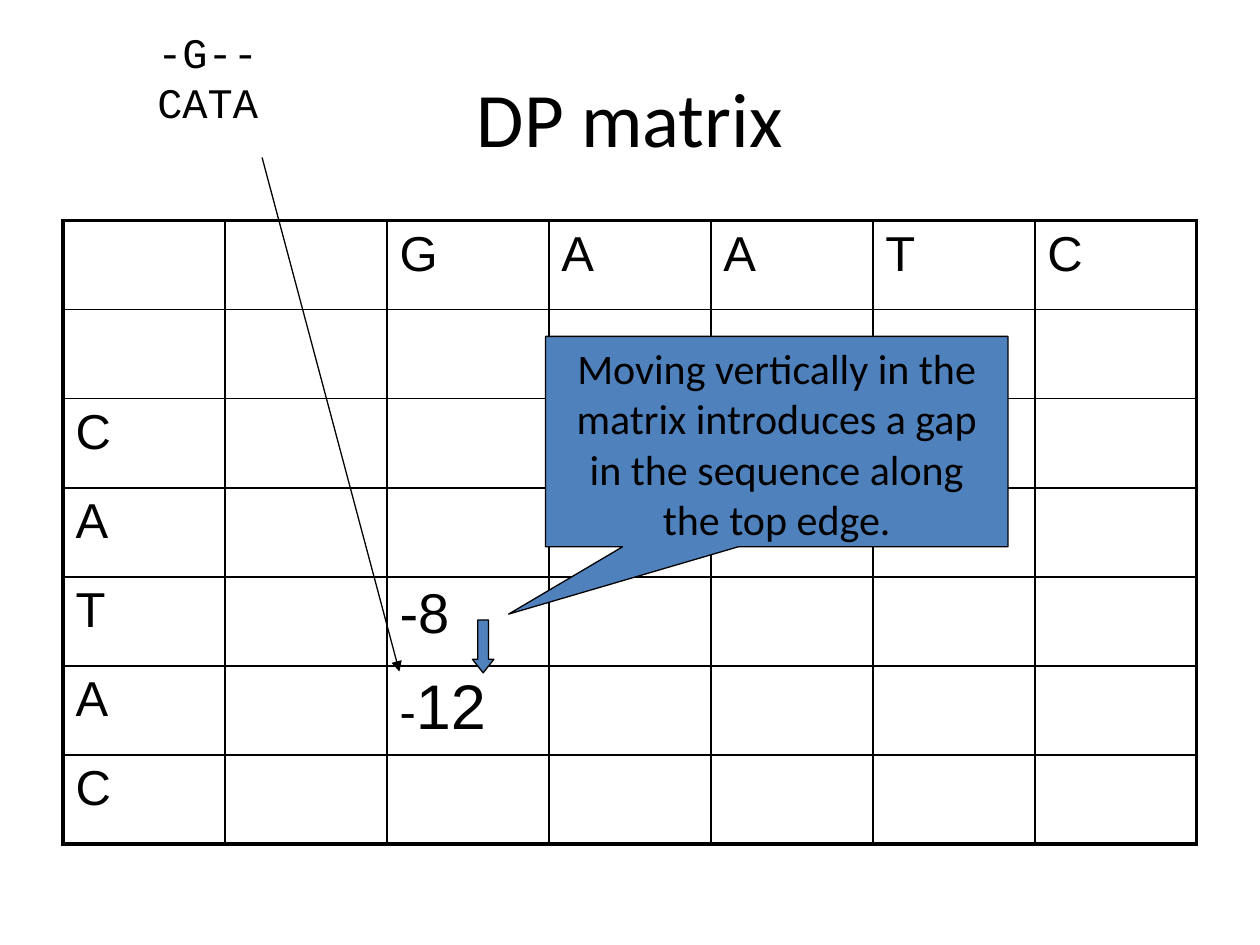
from lxml import etree
from pptx import Presentation
from pptx import util as u
from pptx.dml.color import RGBColor
from pptx.enum import shapes, text
from pptx.oxml.ns import qn

COLORS = {"ink": "000000", "accent": "4F81BD"}
CENTER = text.PP_ALIGN.CENTER
TOP, MIDDLE = text.MSO_ANCHOR.TOP, text.MSO_ANCHOR.MIDDLE


class SlideBuilder:
    """Holds the style and the current slide."""

    def __init__(self, prs):
        self.s = prs.slides.add_slide(prs.slide_layouts[6])
        self.ink = RGBColor.from_string(COLORS["ink"])
        self.accent = RGBColor.from_string(COLORS["accent"])

    def style_run(self, r, font, size):
        r.font.name, r.font.size = font, u.Pt(size)
        r.font.color.rgb = self.ink

    def set_text(self, tf, words, font, size, align=None, anchor=TOP, wrap=True):
        tf.text = words
        tf.word_wrap, tf.vertical_anchor = wrap, anchor
        for p in tf.paragraphs:
            p.alignment = align
            for r in p.runs:
                self.style_run(r, font, size)

    def textbox(self, box, words, font, size, **layout):
        sp = self.s.shapes.add_textbox(*map(u.Inches, box))
        self.set_text(sp.text_frame, words, font, size, **layout)
        return sp

    def shape(self, kind, box, adjustments):
        sp = self.s.shapes.add_shape(kind, *map(u.Inches, box))
        for i, value in enumerate(adjustments):
            sp.adjustments[i] = value
        sp.shadow.inherit = False
        sp.fill.solid()
        sp.fill.fore_color.rgb = self.accent
        sp.line.color.rgb, sp.line.width = self.ink, u.Pt(0.75)
        return sp

    def arrow(self, start, end):
        cx = self.s.shapes.add_connector(
            shapes.MSO_CONNECTOR.STRAIGHT, *map(u.Inches, start + end))
        cx.line.color.rgb, cx.line.width = self.ink, u.Pt(0.75)
        sp_pr = cx._element.spPr
        etree.SubElement(sp_pr.find(qn("a:ln")), qn("a:tailEnd"), type="triangle")
        etree.SubElement(sp_pr, qn("a:effectLst"))

    def border(self, cell, side, points):
        ln = etree.SubElement(cell._tc.get_or_add_tcPr(), qn("a:ln" + side),
                              w=str(u.Pt(points)))
        fill = etree.SubElement(ln, qn("a:solidFill"))
        etree.SubElement(fill, qn("a:srgbClr"), val=COLORS["ink"])

    def matrix(self, box, rows, cols, entries):
        table = self.s.shapes.add_table(rows, cols, *map(u.Inches, box)).table
        table.first_row = table.horz_banding = False
        for r in range(rows):
            for c in range(cols):
                cell = table.cell(r, c)
                # Thick outer frame, thin inner grid
                outer = {"L": c == 0, "R": c == cols - 1,
                         "T": r == 0, "B": r == rows - 1}
                for side, is_outer in outer.items():
                    self.border(cell, side, 2.25 if is_outer else 1)
                cell.fill.background()
                for words, size in entries.get((r, c), []):
                    run = cell.text_frame.paragraphs[0].add_run()
                    run.text = words
                    self.style_run(run, "Arial", size)


def main():
    prs = Presentation()
    prs.slide_width, prs.slide_height = u.Inches(10), u.Inches(7.5)
    b = SlideBuilder(prs)

    # Title
    b.textbox((0.5, 0.3, 9, 1.25), "DP matrix", "Calibri", 44,
              align=CENTER, anchor=MIDDLE)

    # Matrix: one sequence along the top, one down the side, two scores
    entries = {(0, c): [(base, 28)] for c, base in enumerate("GAATC", 2)}
    entries.update({(r, 0): [(base, 28)] for r, base in enumerate("CATAC", 2)})
    entries[4, 2] = [("-8", 32)]
    entries[5, 2] = [("-", 28), ("12", 36)]
    b.matrix((0.5, 1.75, 9, 4.95), 7, 7, entries)

    # Callout
    callout = b.shape(shapes.MSO_SHAPE.RECTANGULAR_CALLOUT,
                      (4.33, 2.67, 3.67, 1.67), (-0.58, 0.82))
    b.set_text(callout.text_frame,
               "Moving vertically in the matrix introduces a gap "
               "in the sequence along the top edge.",
               "Calibri", 24, align=CENTER)

    # Alignment and the cell it leads to
    alignment = b.textbox((1.15, 0.16, 1, 0.9), "-G--\nCATA", "Courier New", 24,
                          wrap=False)
    alignment.text_frame.auto_size = text.MSO_AUTO_SIZE.SHAPE_TO_FIT_TEXT
    b.arrow((2.08, 1.25), (3.17, 5.33))

    # Vertical move
    b.shape(shapes.MSO_SHAPE.DOWN_ARROW, (3.75, 4.92, 0.17, 0.42), (0.5, 0.63))

    prs.save("out.pptx")


if __name__ == "__main__":
    main()
